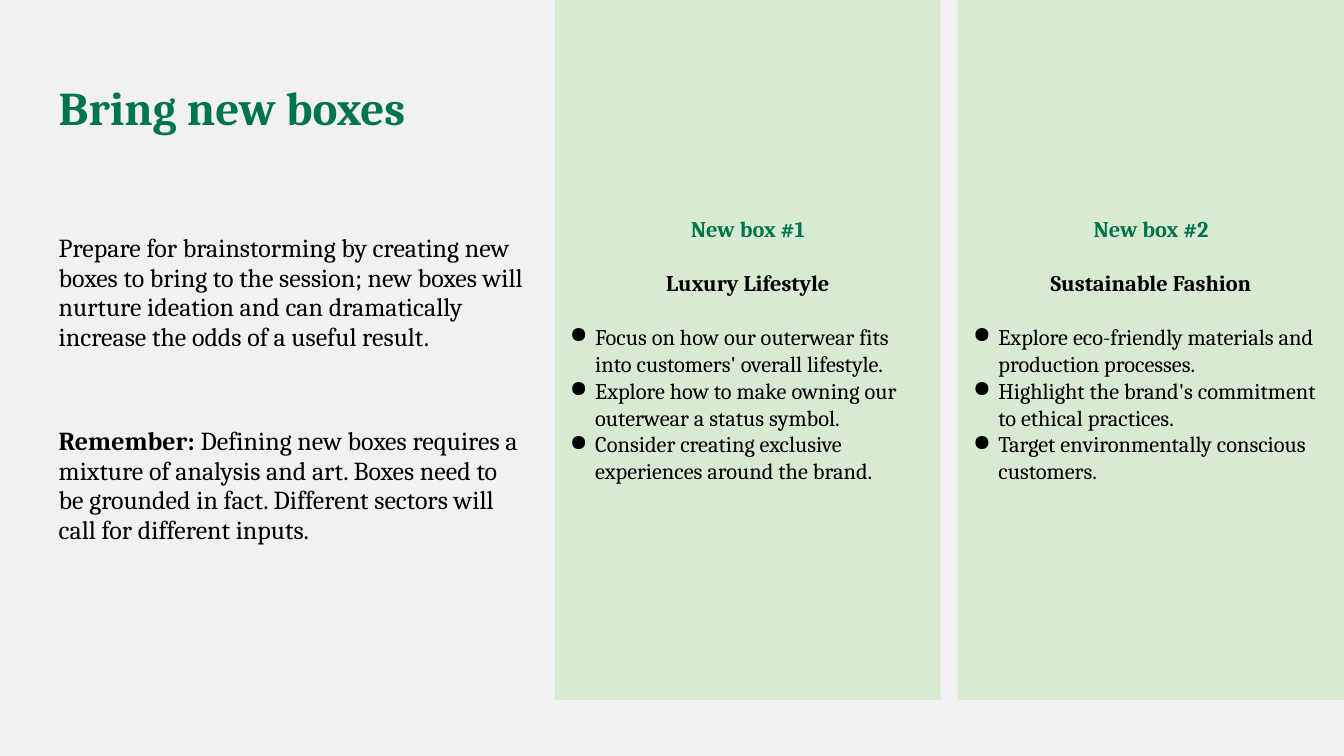
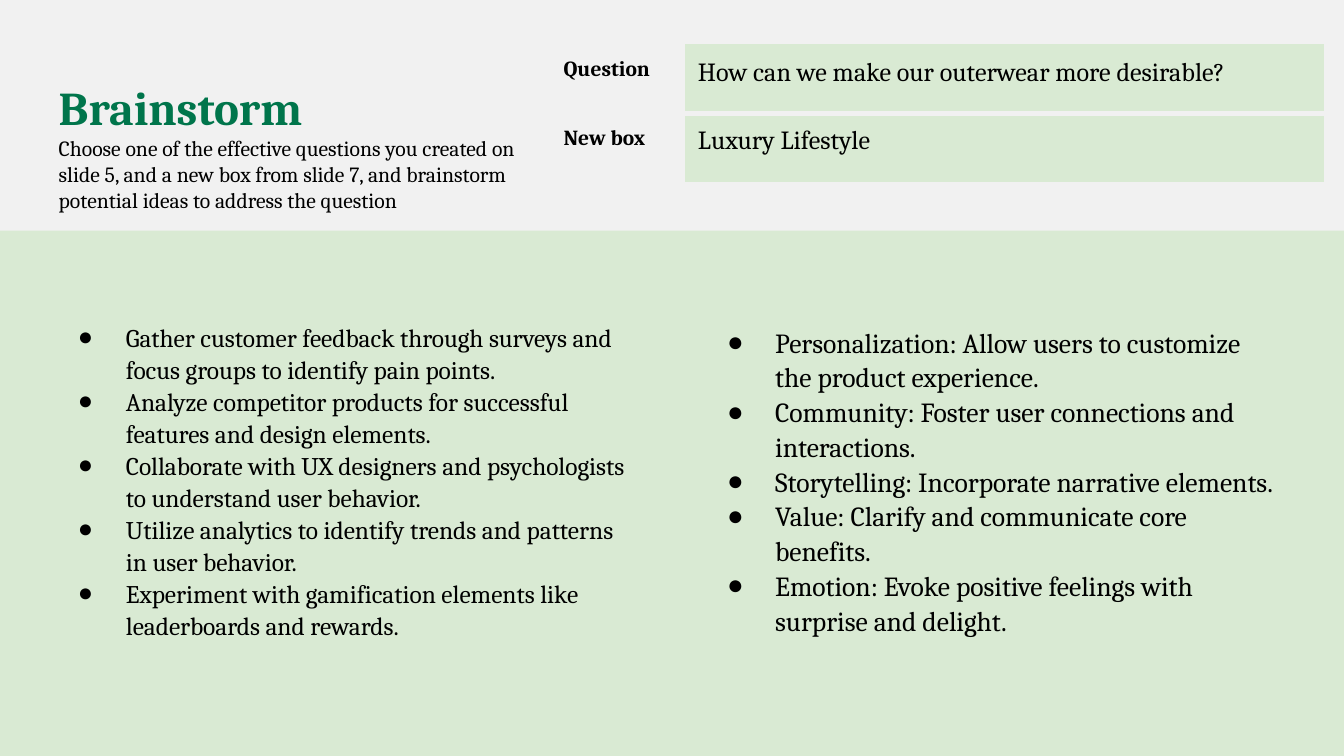
from collections import namedtuple
from dataclasses import dataclass

from lxml import etree
from pptx import Presentation
from pptx.dml.color import RGBColor
from pptx.enum.shapes import MSO_SHAPE
from pptx.enum.text import MSO_ANCHOR, MSO_AUTO_SIZE, PP_ALIGN
from pptx.oxml.ns import qn
from pptx.util import Cm, Pt

RECTANGLE = MSO_SHAPE.RECTANGLE
TOP, MIDDLE = MSO_ANCHOR.TOP, MSO_ANCHOR.MIDDLE
LEFT, CENTER = PP_ALIGN.LEFT, PP_ALIGN.CENTER
NO_AUTOFIT = MSO_AUTO_SIZE.NONE
PLAIN_TABLE_STYLE = "{2D5ABB26-0587-4C30-8999-92F81FD0307C}"
TITLE_AND_CONTENT, TWO_CONTENT = 1, 3

Box = namedtuple("Box", "left top width height")
Indent = namedtuple("Indent", "margin hanging")


@dataclass(frozen=True)
class Theme:
    """Colours, type sizes and shared lengths (cm) of the deck."""

    font: str = "Cambria"
    background: str = "F1F1F1"
    panel: str = "D9EAD3"
    accent: str = "00754B"
    ink: str = "000000"
    title_size: float = 25.2
    body_size: float = 13.9
    panel_size: float = 12
    subtitle_size: float = 11.6
    label_size: float = 11.5
    answer_size: float = 14
    slide_width: float = 25.4
    slide_height: float = 14.29
    margin: float = 0.86
    title_top: float = 1.24
    title_height: float = 1.6
    inset: float = 0.25


THEME = Theme()
PANEL_INDENT = Indent(0.51, 0.48)
LIST_INDENT = Indent(1.27, 0.91)

PANELS = [
    ("New box #1", "Luxury Lifestyle", [
        "Focus on how our outerwear fits into customers' overall lifestyle.",
        "Explore how to make owning our outerwear a status symbol.",
        "Consider creating exclusive experiences around the brand.",
    ]),
    ("New box #2", "Sustainable Fashion", [
        "Explore eco-friendly materials and production processes.",
        "Highlight the brand's commitment to ethical practices.",
        "Target environmentally conscious customers.",
    ]),
]
IDEA_LISTS = [
    (13.6, [
        "Gather customer feedback through surveys and focus groups to identify pain points.",
        "Analyze competitor products for successful features and design elements.",
        "Collaborate with UX designers and psychologists to understand user behavior.",
        "Utilize analytics to identify trends and patterns in user behavior.",
        "Experiment with gamification elements like leaderboards and rewards.",
    ]),
    (14.8, [
        "Personalization: Allow users to customize the product experience.",
        "Community: Foster user connections and interactions.",
        "Storytelling: Incorporate narrative elements.",
        "Value: Clarify and communicate core benefits.",
        "Emotion: Evoke positive feelings with surprise and delight.",
    ]),
]
TOPIC_ROWS = [
    ("Question", "How can we make our outerwear more desirable?"),
    ("New box", "Luxury Lifestyle"),
]


def set_bullet(paragraph, indent):
    """Give the paragraph a hanging round bullet, or none without an indent."""
    properties = paragraph._p.get_or_add_pPr()
    margin, hanging = indent or Indent(0, 0)
    properties.set("marL", str(Cm(margin)))
    properties.set("indent", str(-Cm(hanging)))
    if indent:
        color = etree.SubElement(properties, qn("a:buClr"))
        etree.SubElement(color, qn("a:srgbClr"), val=THEME.ink)
        etree.SubElement(properties, qn("a:buChar"), char="●")
    else:
        etree.SubElement(properties, qn("a:buNone"))


def write(frame, text, size, color=THEME.ink, bold=False, lead="", align=LEFT,
          before=0, spacing=1.0, indent=None):
    """Add one formatted paragraph, with an optional bold lead-in."""
    first = frame.paragraphs[0]
    paragraph = frame.add_paragraph() if first.runs else first
    set_bullet(paragraph, indent)
    paragraph.alignment = align
    paragraph.space_before = Pt(before)
    paragraph.line_spacing = spacing
    for content, is_bold in ((lead, True), (text, bold)):
        if content:
            run = paragraph.add_run()
            run.text = content
            run.font.name = THEME.font
            run.font.size = Pt(size)
            run.font.bold = is_bold
            run.font.color.rgb = RGBColor.from_string(color)


def set_fill(target, color):
    """Fill a shape, cell or background with one colour."""
    target.fill.solid()
    target.fill.fore_color.rgb = RGBColor.from_string(color)


def set_margins(target):
    """Apply the shared inset to a text frame or table cell."""
    for side in ("left", "top", "right", "bottom"):
        setattr(target, f"margin_{side}", Cm(THEME.inset))


def prepare_frame(shape, anchor):
    """Return the shape's text frame with shared settings."""
    frame = shape.text_frame
    frame.word_wrap = True
    frame.auto_size = NO_AUTOFIT
    frame.vertical_anchor = anchor
    set_margins(frame)
    return frame


def place(shape, box, anchor):
    """Move a placeholder into the box and return its text frame."""
    shape.left, shape.top, shape.width, shape.height = map(Cm, box)
    return prepare_frame(shape, anchor)


def add_panel(slide, box):
    """Add a pale green rectangle."""
    panel = slide.shapes.add_shape(RECTANGLE, *map(Cm, box))
    panel.shadow.inherit = False
    set_fill(panel, THEME.panel)
    panel.line.fill.background()
    return panel


def add_slide(presentation, layout, title, title_width):
    """Add a slide with the shared background and title style."""
    slide = presentation.slides.add_slide(presentation.slide_layouts[layout])
    set_fill(slide.background, THEME.background)
    box = Box(THEME.margin, THEME.title_top, title_width, THEME.title_height)
    frame = place(slide.shapes.title, box, TOP)
    write(frame, title, THEME.title_size, color=THEME.accent, bold=True)
    return slide


def add_box_panel(slide, box, heading, theme_name, points):
    """Add a panel with heading, theme name and bullet points."""
    frame = prepare_frame(add_panel(slide, box), MIDDLE)
    size, gap = THEME.panel_size, 14.4
    write(frame, heading, size, color=THEME.accent, bold=True, align=CENTER)
    write(frame, theme_name, size, bold=True, align=CENTER, before=gap)
    for index, point in enumerate(points):
        write(frame, point, size, indent=PANEL_INDENT, before=0 if index else gap)


def add_idea_list(placeholder, box, size, ideas):
    """Fill a body placeholder with bulleted ideas."""
    frame = place(placeholder, box, MIDDLE)
    for idea in ideas:
        write(frame, idea, size, spacing=1.05, indent=LIST_INDENT)


def set_border(cell, side):
    """Draw a background-coloured rule on one side of a cell."""
    line = etree.Element(qn(f"a:{side}"), w=str(Pt(3)))
    fill = etree.SubElement(line, qn("a:solidFill"))
    etree.SubElement(fill, qn("a:srgbClr"), val=THEME.background)
    cell._tc.get_or_add_tcPr().insert(0, line)


def add_topic_table(slide, box, label_width):
    """Add the table naming the question and the new box."""
    table = slide.shapes.add_table(len(TOPIC_ROWS), 2, *map(Cm, box)).table
    table.first_row = table.horz_banding = False
    table._tbl.tblPr.find(qn("a:tableStyleId")).text = PLAIN_TABLE_STYLE
    table.columns[0].width = Cm(label_width)
    table.columns[1].width = Cm(box.width - label_width)
    for index, (label, answer) in enumerate(TOPIC_ROWS):
        label_cell, answer_cell = table.cell(index, 0), table.cell(index, 1)
        set_margins(label_cell)
        set_margins(answer_cell)
        label_cell.fill.background()
        set_fill(answer_cell, THEME.panel)
        set_border(answer_cell, "lnT" if index else "lnB")
        write(label_cell.text_frame, label, THEME.label_size, bold=True)
        write(answer_cell.text_frame, answer, THEME.answer_size)


def build_boxes_slide(presentation):
    """Build the slide with guidance and two new boxes."""
    slide = add_slide(presentation, TITLE_AND_CONTENT, "Bring new boxes", 23.67)
    frame = place(slide.placeholders[1], Box(THEME.margin, 3.2, 9.3, 8.33), MIDDLE)
    write(frame, "Prepare for brainstorming by creating new boxes to bring to the session; "
          "new boxes will nurture ideation and can dramatically increase the odds of a "
          "useful result.", THEME.body_size, spacing=0.95)
    write(frame, " Defining new boxes requires a mixture of analysis and art. Boxes need to "
          "be grounded in fact. Different sectors will call for different inputs.",
          THEME.body_size, lead="Remember:", spacing=0.95, before=40)
    width, gap = 7.29, 0.33
    first_left = THEME.slide_width - 2 * width - gap
    for index, panel in enumerate(PANELS):
        box = Box(first_left + index * (width + gap), 0, width, 13.23)
        add_box_panel(slide, box, *panel)


def build_brainstorm_slide(presentation):
    """Build the slide with the topic table and two idea lists."""
    slide = add_slide(presentation, TWO_CONTENT, "Brainstorm", 9.65)
    write(slide.shapes.title.text_frame, "Choose one of the effective questions you created "
          "on slide 5, and a new box from slide 7, and brainstorm potential ideas to "
          "address the question", THEME.subtitle_size)
    band_top = 4.36
    band = add_panel(slide, Box(0, band_top, THEME.slide_width, THEME.slide_height - band_top))
    slide.shapes._spTree.insert(2, band._element)
    for index, (size, ideas) in enumerate(IDEA_LISTS):
        box = Box(THEME.margin + index * 12.27, band_top + 1.1, 11.2, 7.24)
        add_idea_list(slide.placeholders[index + 1], box, size, ideas)
    add_topic_table(slide, Box(10.4, 0.84, 14.63, 2.6), 2.54)


def main():
    """Create and save the presentation."""
    presentation = Presentation()
    presentation.slide_width = Cm(THEME.slide_width)
    presentation.slide_height = Cm(THEME.slide_height)
    build_boxes_slide(presentation)
    build_brainstorm_slide(presentation)
    presentation.save("out.pptx")


if __name__ == "__main__":
    main()
